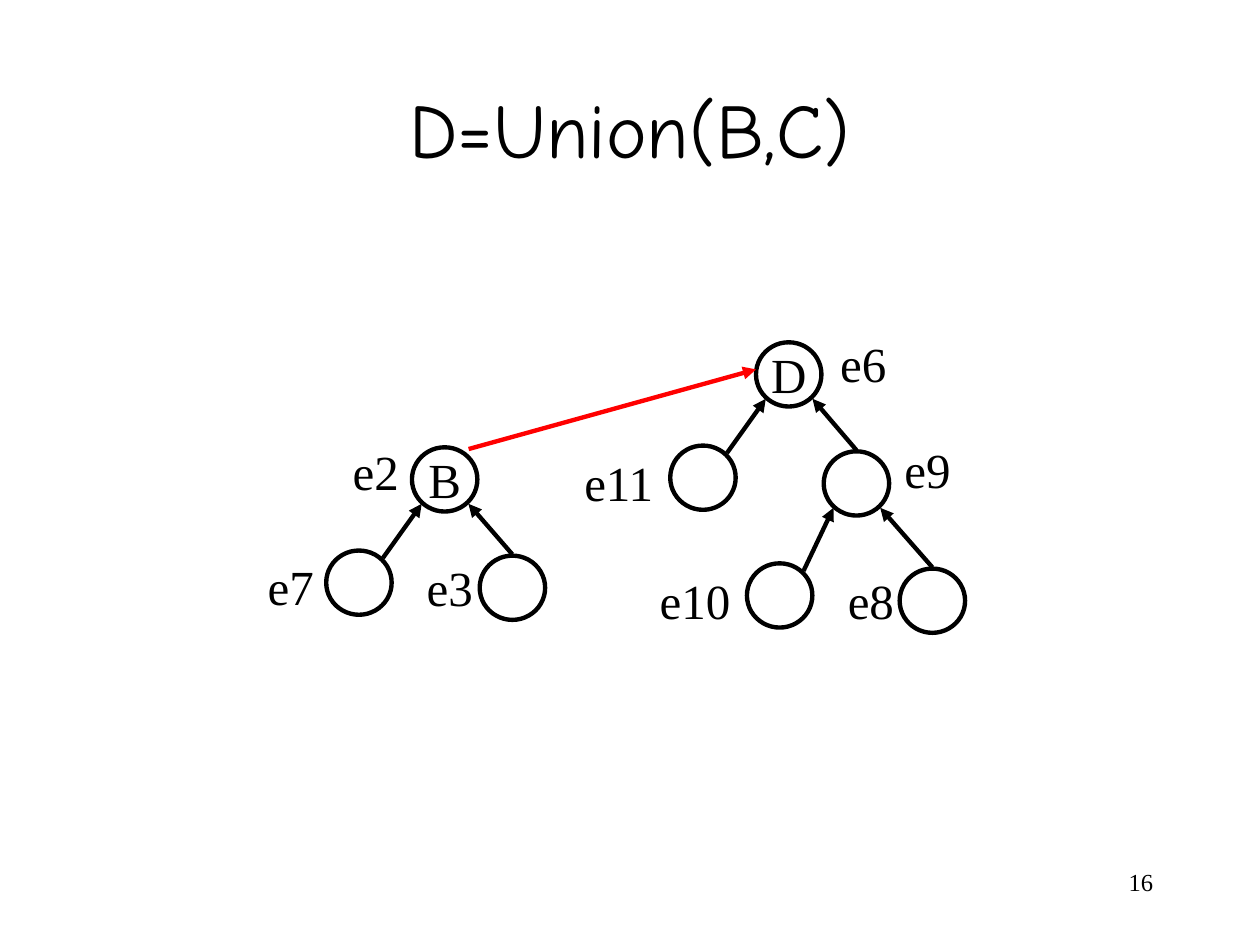
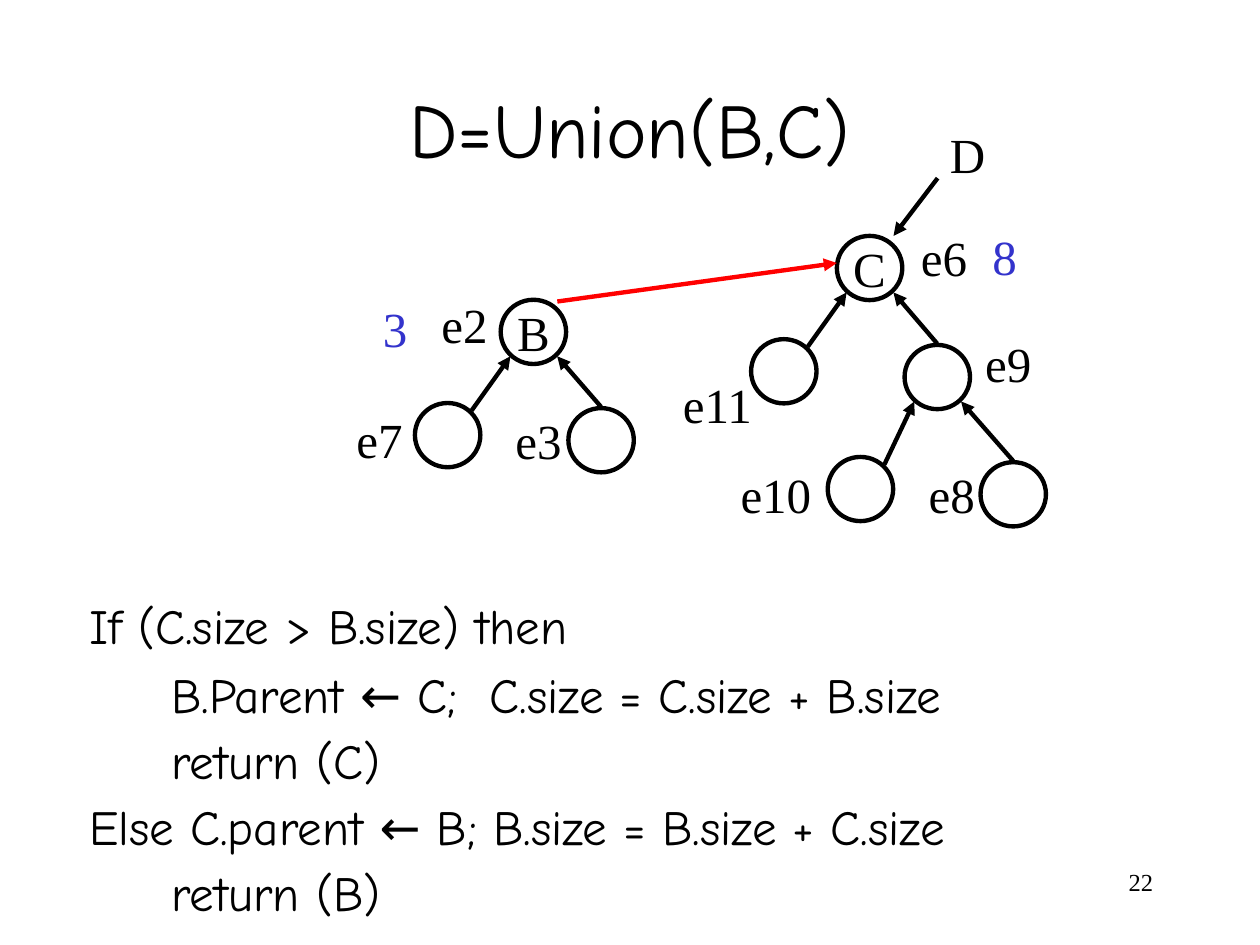
from dataclasses import dataclass

from lxml import etree
from pptx import Presentation
from pptx.dml.color import RGBColor
from pptx.enum.shapes import MSO_CONNECTOR, MSO_SHAPE
from pptx.enum.text import MSO_ANCHOR, MSO_AUTO_SIZE, PP_ALIGN
from pptx.oxml.ns import qn
from pptx.util import Pt

LEFT, CENTER, RIGHT = PP_ALIGN.LEFT, PP_ALIGN.CENTER, PP_ALIGN.RIGHT
TOP, MIDDLE = MSO_ANCHOR.TOP, MSO_ANCHOR.MIDDLE
OVAL, STRAIGHT = MSO_SHAPE.OVAL, MSO_CONNECTOR.STRAIGHT
NO_FIT = MSO_AUTO_SIZE.NONE


@dataclass(frozen=True)
class Theme:
    black: RGBColor = RGBColor(0, 0, 0)
    red: RGBColor = RGBColor(0xFF, 0, 0)
    blue: RGBColor = RGBColor(0x33, 0x33, 0xCC)
    hand: str = "Comic Neue"
    serif: str = "Times New Roman"
    title: int = 44
    body: int = 28
    number: int = 14
    line: float = 2.5


THEME = Theme()

# ---- Content: all lengths in points ----
TITLE = "D=Union(B,C)"
TITLE_BOX = (54, 28, 612, 90)
NUMBER_BOX = (516.2, 491.8, 149.8, 36)
NODE_W, NODE_H = 37.4, 36.7
LABEL_H = 41

# name: (parent, offset from the parent, label offset from the node, label width)
TREES = {
    "B": {
        "e2": (None, (0, 0), (-41, -6.8), 62),
        "e7": ("e2", (-49, 59), (-40.5, 0), 44.6),
        "e3": ("e2", (38.7, 61.9), (-37.4, -2.2), 73.4),
    },
    "C": {
        "e6": (None, (0, 0), (41, -8.6), 62),
        "e11": ("e6", (-49, 59), (-56.2, 0.7), 64),
        "e9": ("e6", (38.7, 62.3), (39, -10), 56.2),
        "e10": ("e9", (-43.9, 64), (-56.9, 0.7), 64),
        "e8": ("e9", (43.4, 67), (-36.7, -2.2), 108),
    },
}

SLIDES = [
    dict(number="16",
         roots={"B": (235.4, 255.6), "C": (432, 195.6)},
         letters={"B": "B", "C": "D"}),
    dict(number="22",
         roots={"B": (286.1, 171.3), "C": (478.2, 134.8)},
         letters={"B": "B", "C": "C"},
         moved_labels={"e11": (-46, 16.6)},
         sizes=[("8", (560, 126)), ("3", (211.7, 167))],
         pointer=("D", (535.7, 67.7)),
         code=[("If (C.size > B.size) then", 0),
               ("B.Parent ← C;  C.size = C.size + B.size", 1),
               ("return (C)", 1),
               ("Else C.parent ← B; B.size = B.size + C.size", 0),
               ("return (B)", 1)]),
]
CODE_BOX = (43.9, 337, 614.2, 191.5)
CODE_INDENT, CODE_GAP, CODE_SPACING = 47, 17.5, 0.6

# Arrow ends, measured from a node's top left corner
LEFT_CHILD, RIGHT_CHILD = (32.4, 4.3), (18.7, -0.7)
PARENT_LEFT, PARENT_RIGHT = (5.6, 32.3), (32.3, 32.3)
UNION_START, UNION_END = (32.4, 1), (0, 15.5)
POINTER_START, POINTER_END = (57.6, -33), (32.4, 0)


# ---- Drawing ----
def add(a, b):
    return a[0] + b[0], a[1] + b[1]


def put_text(sp, text, font=THEME.serif, size=THEME.body, color=THEME.black,
             align=LEFT, anchor=TOP, wrap=True):
    tf = sp.text_frame
    tf.auto_size, tf.word_wrap, tf.vertical_anchor = NO_FIT, wrap, anchor
    lines = [text] if isinstance(text, str) else text
    for i, line in enumerate(lines):
        p = tf.paragraphs[0] if i == 0 else tf.add_paragraph()
        p.alignment = align
        r = p.add_run()
        r.text = line
        r.font.name, r.font.size = font, Pt(size)
        r.font.color.rgb = color
    return tf


def text_box(slide, box, text, **style):
    sp = slide.shapes.add_textbox(*map(Pt, box))
    return put_text(sp, text, **style)


def node(slide, at, letter=None):
    sp = slide.shapes.add_shape(OVAL, *map(Pt, (*at, NODE_W, NODE_H)))
    sp.shadow.inherit = False
    sp.fill.background()
    sp.line.color.rgb, sp.line.width = THEME.black, Pt(THEME.line)
    if letter:
        put_text(sp, letter, align=CENTER, anchor=MIDDLE, wrap=False)


def arrow(slide, start, end, color=THEME.black):
    c = slide.shapes.add_connector(STRAIGHT, *map(Pt, (*start, *end)))
    c.line.color.rgb, c.line.width = color, Pt(THEME.line)
    etree.SubElement(c.line._get_or_add_ln(), qn("a:tailEnd"), type="triangle")
    etree.SubElement(c._element.spPr, qn("a:effectLst"))


def tree(slide, nodes, root, letter, moved_labels):
    """Draw one tree, placing every node from its parent."""
    places = {}
    for name, (parent, offset, label, width) in nodes.items():
        at = places[name] = add(places.get(parent, root), offset)
        node(slide, at, None if parent else letter)
        label_at = add(at, moved_labels.get(name, label))
        text_box(slide, (*label_at, width, LABEL_H), name)
        if parent:
            is_left = offset[0] < 0
            arrow(slide, add(at, LEFT_CHILD if is_left else RIGHT_CHILD),
                  add(places[parent], PARENT_LEFT if is_left else PARENT_RIGHT))


def code_block(slide, code):
    tf = text_box(slide, CODE_BOX, [line for line, _ in code], font=THEME.hand)
    for i, (p, (_, level)) in enumerate(zip(tf.paragraphs, code)):
        p.space_before = Pt(CODE_GAP)
        if i:
            p.line_spacing = CODE_SPACING
        p._p.get_or_add_pPr().set("marL", str(Pt(CODE_INDENT * level)))


def union_slide(prs, number, roots, letters, moved_labels=None, sizes=(),
                pointer=None, code=()):
    slide = prs.slides.add_slide(prs.slide_layouts[5])
    title = slide.shapes.title
    title.left, title.top, title.width, title.height = map(Pt, TITLE_BOX)
    put_text(title, TITLE, font=THEME.hand, size=THEME.title,
             align=CENTER, anchor=MIDDLE)
    for name, nodes in TREES.items():
        tree(slide, nodes, roots[name], letters[name], moved_labels or {})
    arrow(slide, add(roots["B"], UNION_START), add(roots["C"], UNION_END),
          THEME.red)
    for size, at in sizes:
        text_box(slide, (*at, 51.5, LABEL_H), size, color=THEME.blue)
    if pointer:
        name, at = pointer
        text_box(slide, (*at, 43.2, LABEL_H), name)
        arrow(slide, add(roots["C"], POINTER_START),
              add(roots["C"], POINTER_END))
    if code:
        code_block(slide, code)
    text_box(slide, NUMBER_BOX, number, size=THEME.number, align=RIGHT)


def main():
    prs = Presentation()
    prs.slide_width, prs.slide_height = Pt(720), Pt(540)
    for content in SLIDES:
        union_slide(prs, **content)
    prs.save("out.pptx")


if __name__ == "__main__":
    main()
